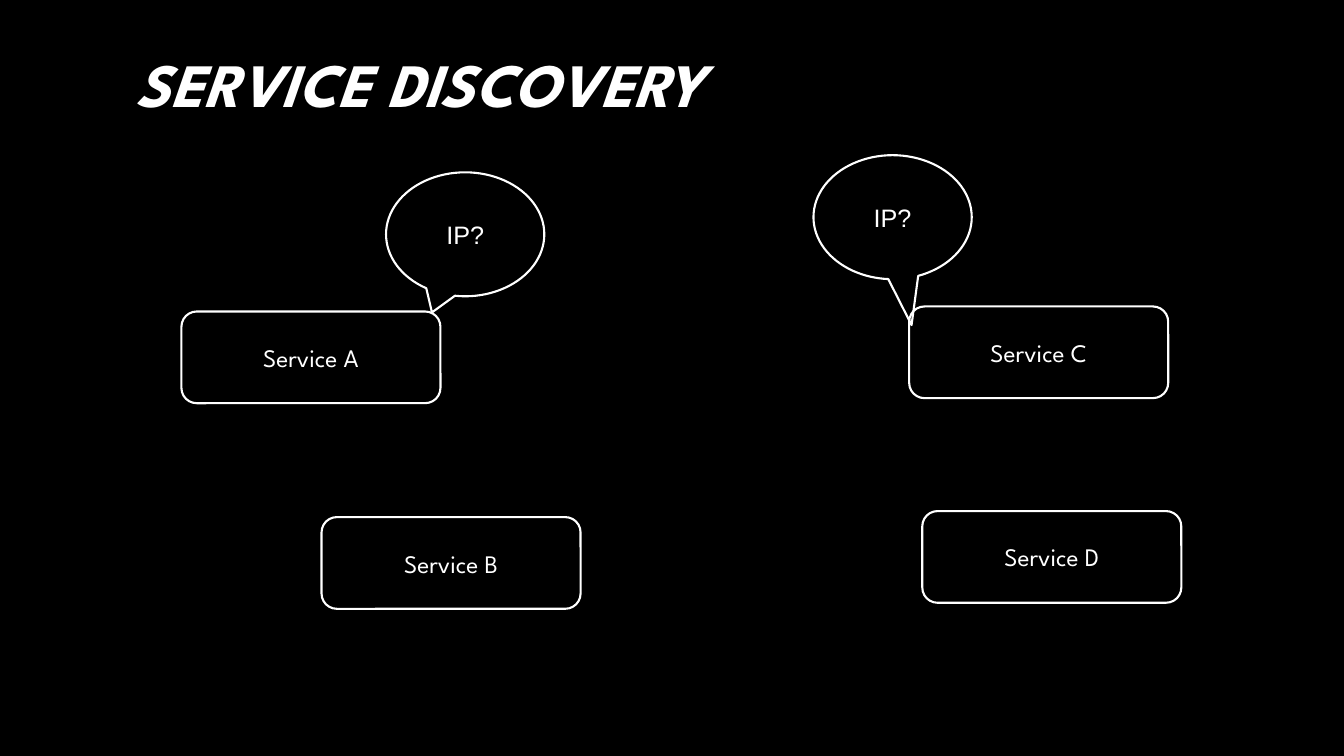
from pptx import Presentation
from pptx.dml.color import RGBColor
from pptx.enum.shapes import MSO_SHAPE
from pptx.enum.text import MSO_ANCHOR, PP_ALIGN
from pptx.util import Inches, Pt

ROUNDED = MSO_SHAPE.ROUNDED_RECTANGLE
CALLOUT = MSO_SHAPE.OVAL_CALLOUT
MIDDLE = MSO_ANCHOR.MIDDLE
LEFT, CENTER = PP_ALIGN.LEFT, PP_ALIGN.CENTER

COLORS = {"background": "000000", "ink": "FFFFFF"}
COLUMNS, ROWS = 160, 90
SERVICE_SIZE = (30.84, 10.92)
QUESTION_SIZE = (18.84, 14.76)
SERVICES = {
    "Service A": (21.6, 37.08),
    "Service B": (38.28, 61.56),
    "Service C": (108.24, 36.48),
    "Service D": (109.8, 60.84),
}
QUESTIONS = [
    ((45.96, 20.52), (-0.21, 0.63)),
    ((96.84, 18.48), (0.12, 0.87)),
]


class DiscoverySlide:
    """Draw white outlined elements on a black slide, placed by grid columns and rows."""

    def __init__(self, presentation):
        self.column = presentation.slide_width / COLUMNS
        self.row = presentation.slide_height / ROWS
        self.heading_font = "League Spartan"
        self.question_font = "Arial"
        self.ink = RGBColor.from_string(COLORS["ink"])
        self.slide = presentation.slides.add_slide(presentation.slide_layouts[6])
        fill = self.slide.background.fill
        fill.solid()
        fill.fore_color.rgb = RGBColor.from_string(COLORS["background"])

    def box(self, position, size):
        left, top = position
        width, height = size
        return (round(left * self.column), round(top * self.row),
                round(width * self.column), round(height * self.row))

    def label(self, shape, text, font, size, alignment):
        frame = shape.text_frame
        frame.word_wrap = True
        frame.vertical_anchor = MIDDLE
        paragraph = frame.paragraphs[0]
        paragraph.text = text
        paragraph.alignment = alignment
        paragraph.font.name = font
        paragraph.font.size = Pt(size)
        paragraph.font.color.rgb = self.ink
        return paragraph

    def title(self, text, position, size):
        shape = self.slide.shapes.add_textbox(*self.box(position, size))
        paragraph = self.label(shape, text, self.heading_font, 44, LEFT)
        paragraph.font.bold = True
        paragraph.font.italic = True
        paragraph.line_spacing = 0.9

    def outline(self, kind, text, position, size, font):
        shape = self.slide.shapes.add_shape(kind, *self.box(position, size))
        shape.shadow.inherit = False
        shape.fill.background()
        shape.line.color.rgb = self.ink
        shape.line.width = Pt(1.5)
        self.label(shape, text, font, 18, CENTER)
        return shape

    def service(self, name, position):
        self.outline(ROUNDED, name, position, SERVICE_SIZE, self.heading_font)

    def question(self, text, position, tip):
        shape = self.outline(CALLOUT, text, position, QUESTION_SIZE, self.question_font)
        for index, offset in enumerate(tip):
            shape.adjustments[index] = offset


def main():
    presentation = Presentation()
    presentation.slide_width = Inches(13.33)
    presentation.slide_height = Inches(7.5)
    discovery = DiscoverySlide(presentation)
    discovery.title("SERVICE DISCOVERY", (15, 0.36), (130, 20.16))
    for name, position in SERVICES.items():
        discovery.service(name, position)
    for position, tip in QUESTIONS:
        discovery.question("IP?", position, tip)
    presentation.save("out.pptx")


if __name__ == "__main__":
    main()
